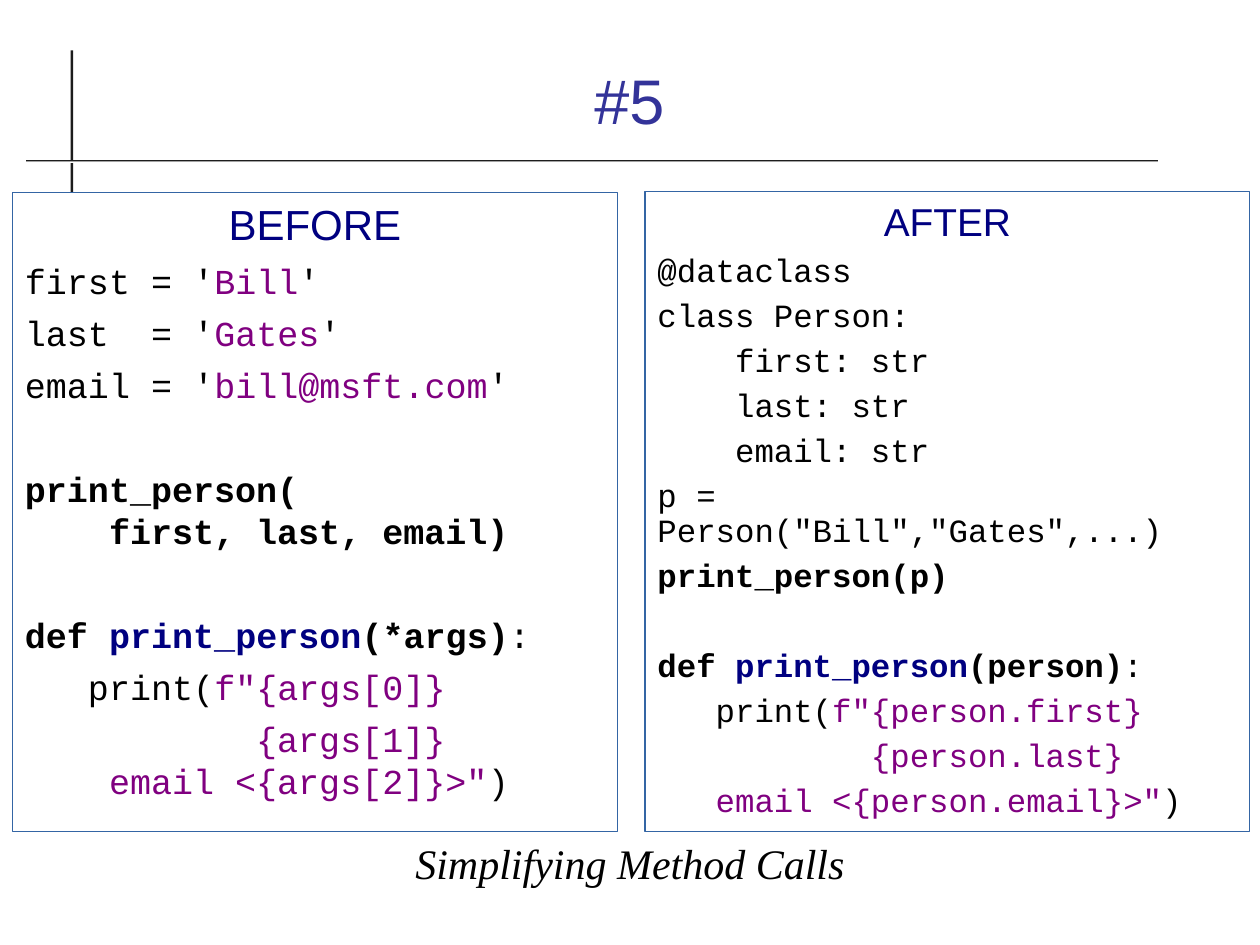
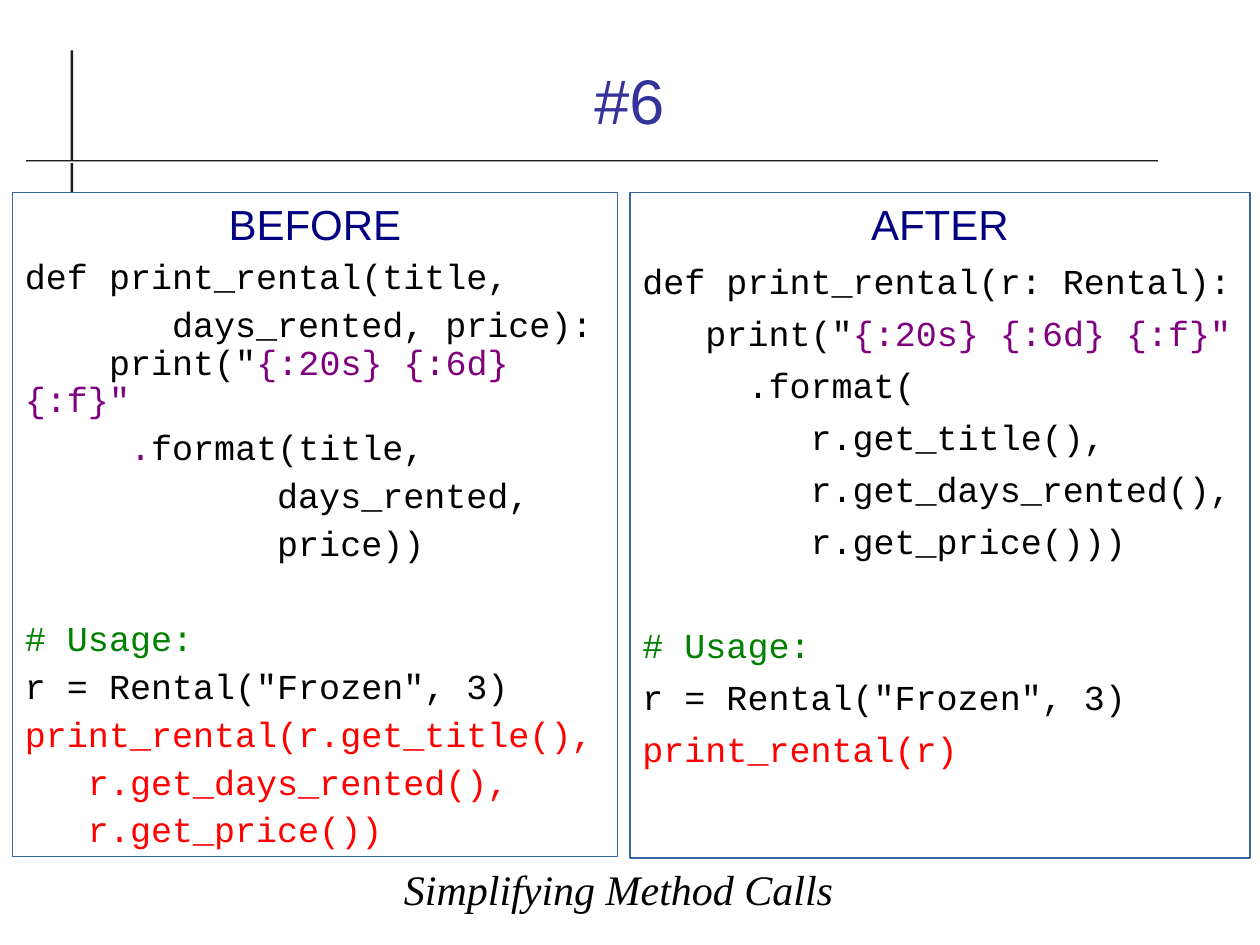
import pptx
import pptx.dml.color
import pptx.enum.shapes
import pptx.enum.text
import pptx.util

Inches = pptx.util.Inches
Pt = pptx.util.Pt
ALIGN = pptx.enum.text.PP_ALIGN
ANCHOR = pptx.enum.text.MSO_ANCHOR

COLORS = {
    "title": "333399", "heading": "000080", "code": "000000", "string": "800080",
    "comment": "008000", "call": "FF0000", "border": "3465A4", "rule": "1C1C1C",
    "paper": "FFFFFF",
}
FONTS = {"sans": "Arial", "code": "Courier New", "serif": "Times New Roman"}
PARAGRAPH_SPACE = 5.7
CODE_LINE_HEIGHT = 1.2
GAP = None  # stands for an empty line of code


def rgb(name):
    return pptx.dml.color.RGBColor.from_string(COLORS[name])


def apply(target, values):
    for name, value in values.items():
        setattr(target, name, value)


def string(text):
    return text, {"color": "string"}


def bold(text, color="code"):
    return text, {"color": color, "bold": True}


def call(text):
    return text, {"color": "call"}


class Deck:
    def __init__(self):
        self.presentation = pptx.Presentation()
        apply(self.presentation, {"slide_width": Inches(10), "slide_height": Inches(7.5)})
        self.slide = None

    def start_slide(self, title):
        self.slide = self.presentation.slides.add_slide(self.presentation.slide_layouts[6])
        self.rectangle(0.56, 0.4, 0.02, 1.13, "rule")
        rule = self.rectangle(0.21, 1.27, 8.98, 0.02)
        rule.fill.gradient()
        rule.fill.gradient_angle = 90
        for stop, color, position in zip(rule.fill.gradient_stops, ("paper", "rule"), (0, 1)):
            stop.color.rgb = rgb(color)
            stop.position = position
        self.label(title, 0.33, 0.25, 9.33, 1.08, "sans", 36, "title")

    def rectangle(self, left, top, width, height, fill=None, border=None):
        shape = self.slide.shapes.add_shape(
            pptx.enum.shapes.MSO_SHAPE.RECTANGLE,
            Inches(left), Inches(top), Inches(width), Inches(height))
        shape.shadow.inherit = False
        for part, color in ((shape.fill, fill), (shape.line.fill, border)):
            if color:
                part.solid()
                part.fore_color.rgb = rgb(color)
            else:
                part.background()
        if border:
            shape.line.width = Pt(0)
        return shape

    def run(self, paragraph, text, font, size, color="code", **values):
        """Add text to the paragraph; each newline becomes a line break."""
        for index, piece in enumerate(text.split("\n")):
            if index:
                paragraph.add_line_break()
            run = paragraph.add_run()
            run.text = piece
            apply(run.font, {"name": FONTS[font], "size": Pt(size), **values})
            run.font.color.rgb = rgb(color)

    def label(self, text, left, top, width, height, font, size, color, **values):
        box = self.slide.shapes.add_textbox(
            Inches(left), Inches(top), Inches(width), Inches(height))
        apply(box.text_frame, {"word_wrap": True, "vertical_anchor": ANCHOR.MIDDLE})
        paragraph = box.text_frame.paragraphs[0]
        paragraph.alignment = ALIGN.CENTER
        self.run(paragraph, text, font, size, color, **values)

    def code_panel(self, heading, lines, left, top, width, height,
                   size=20, heading_size=24, spacing=1.0):
        panel = self.rectangle(left, top, width, height, border="border")
        frame = panel.text_frame
        apply(frame, {"word_wrap": True, "vertical_anchor": ANCHOR.TOP})
        paragraph = frame.paragraphs[0]
        paragraph.alignment = ALIGN.CENTER
        self.run(paragraph, heading, "sans", heading_size, "heading")
        space = PARAGRAPH_SPACE
        for line in lines:
            if line is GAP:
                space += size * CODE_LINE_HEIGHT * spacing + PARAGRAPH_SPACE
                continue
            paragraph = frame.add_paragraph()
            apply(paragraph, {"alignment": ALIGN.LEFT, "space_before": Pt(space),
                              "line_spacing": spacing})
            space = PARAGRAPH_SPACE
            for part in line:
                text, style = (part, {}) if isinstance(part, str) else part
                self.run(paragraph, text, "code", size, **style)

    def caption(self, left, top):
        self.label("Simplifying Method Calls", left, top, 7.8, 0.5,
                   "serif", 24, "code", italic=True)


PERSON_BEFORE = [
    ["first = '", string("Bill"), "'"],
    ["last  = '", string("Gates"), "'"],
    ["email = '", string("bill@msft.com"), "'"],
    GAP,
    [bold("print_person(\n    first, last, email)")],
    GAP,
    [bold("def "), bold("print_person", "heading"), bold("(*args)"), ":"],
    ["   print(", string('f"{args[0]}')],
    [string('           {args[1]}\n    email <{args[2]}>"'), ")"],
]
PERSON_AFTER = [
    ["@dataclass"],
    ["class Person:"],
    ["    first: str"],
    ["    last: str"],
    ["    email: str"],
    ['p = Person("Bill","Gates",...)'],
    [bold("print_person(p)")],
    GAP,
    [bold("def "), bold("print_person", "heading"), bold("(person)"), ":"],
    ["   print(", string('f"{person.first}')],
    [string("           {person.last}")],
    [string('   email <{person.email}>"'), ")"],
]
RENTAL_FORMAT = string('{:20s} {:6d} {:f}"')
RENTAL_USAGE = [
    GAP,
    [("# Usage:", {"color": "comment"})],
    ['r = Rental("Frozen", 3)'],
]
RENTAL_BEFORE = [
    ["def print_rental(title,"],
    ['       days_rented, price):\n    print("', RENTAL_FORMAT],
    [string("     ."), "format(title,"],
    ["            days_rented,"],
    ["            price))"],
    *RENTAL_USAGE,
    [call("print_rental(r.get_title(),")],
    [call("   r.get_days_rented(),")],
    [call("   r.get_price())")],
]
RENTAL_AFTER = [
    ["def print_rental(r: Rental):"],
    ['   print("', RENTAL_FORMAT],
    ["     .format("],
    ["        r.get_title(),"],
    ["        r.get_days_rented(),"],
    ["        r.get_price()))"],
    *RENTAL_USAGE,
    [call("print_rental(r)")],
]


def main():
    deck = Deck()

    deck.start_slide("#5")
    deck.code_panel("BEFORE", PERSON_BEFORE, 0.1, 1.53, 4.8, 5.07)
    deck.code_panel("AFTER", PERSON_AFTER, 5.12, 1.52, 4.8, 5.08,
                    size=18.5, heading_size=22.2, spacing=0.9)
    deck.caption(1.1, 6.6)

    deck.start_slide("#6")
    deck.code_panel("BEFORE", RENTAL_BEFORE, 0.1, 1.53, 4.8, 5.27, spacing=0.9)
    deck.code_panel("AFTER", RENTAL_AFTER, 5, 1.53, 4.92, 5.28)
    deck.caption(1.01, 6.8)

    deck.presentation.save("out.pptx")


if __name__ == "__main__":
    main()
